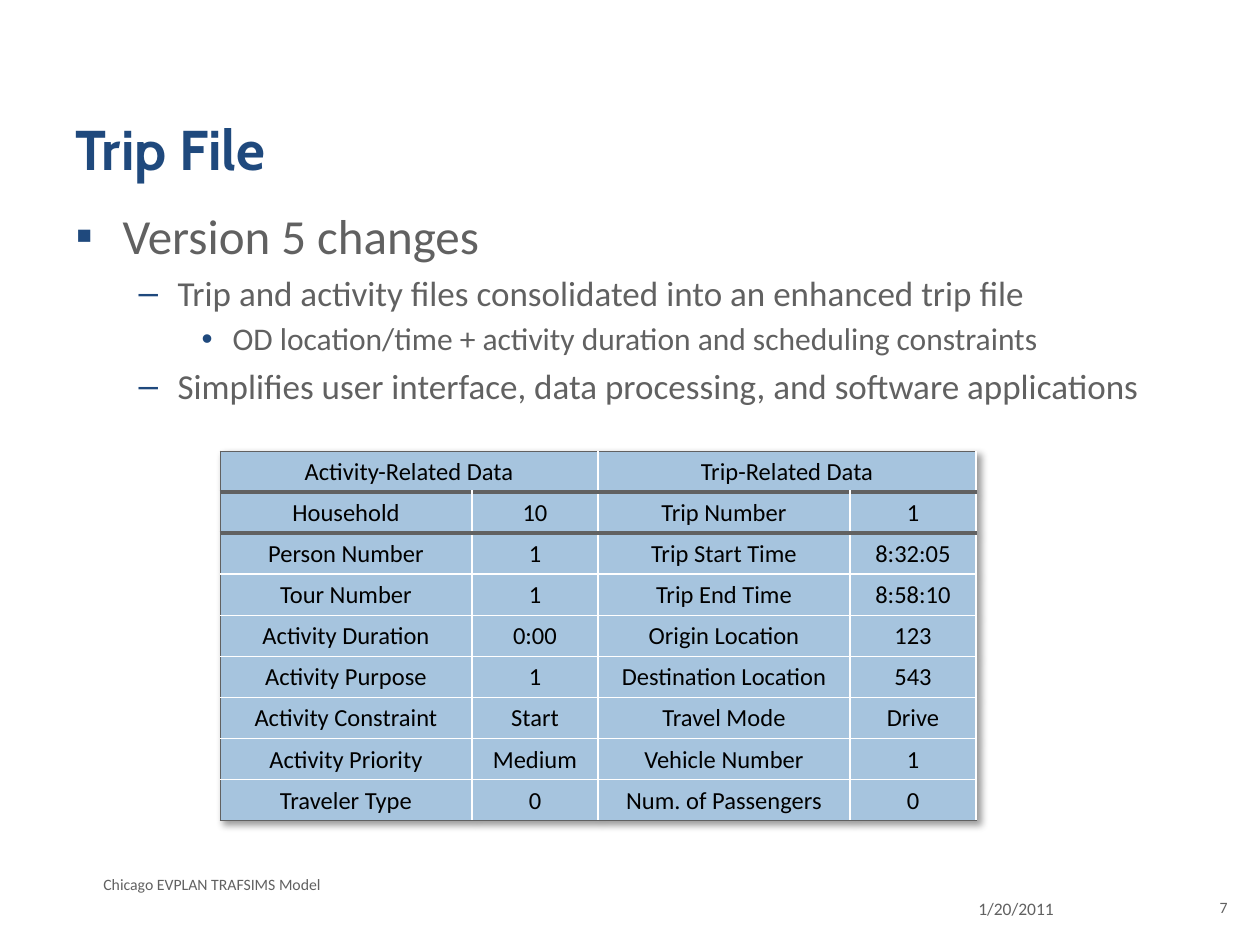
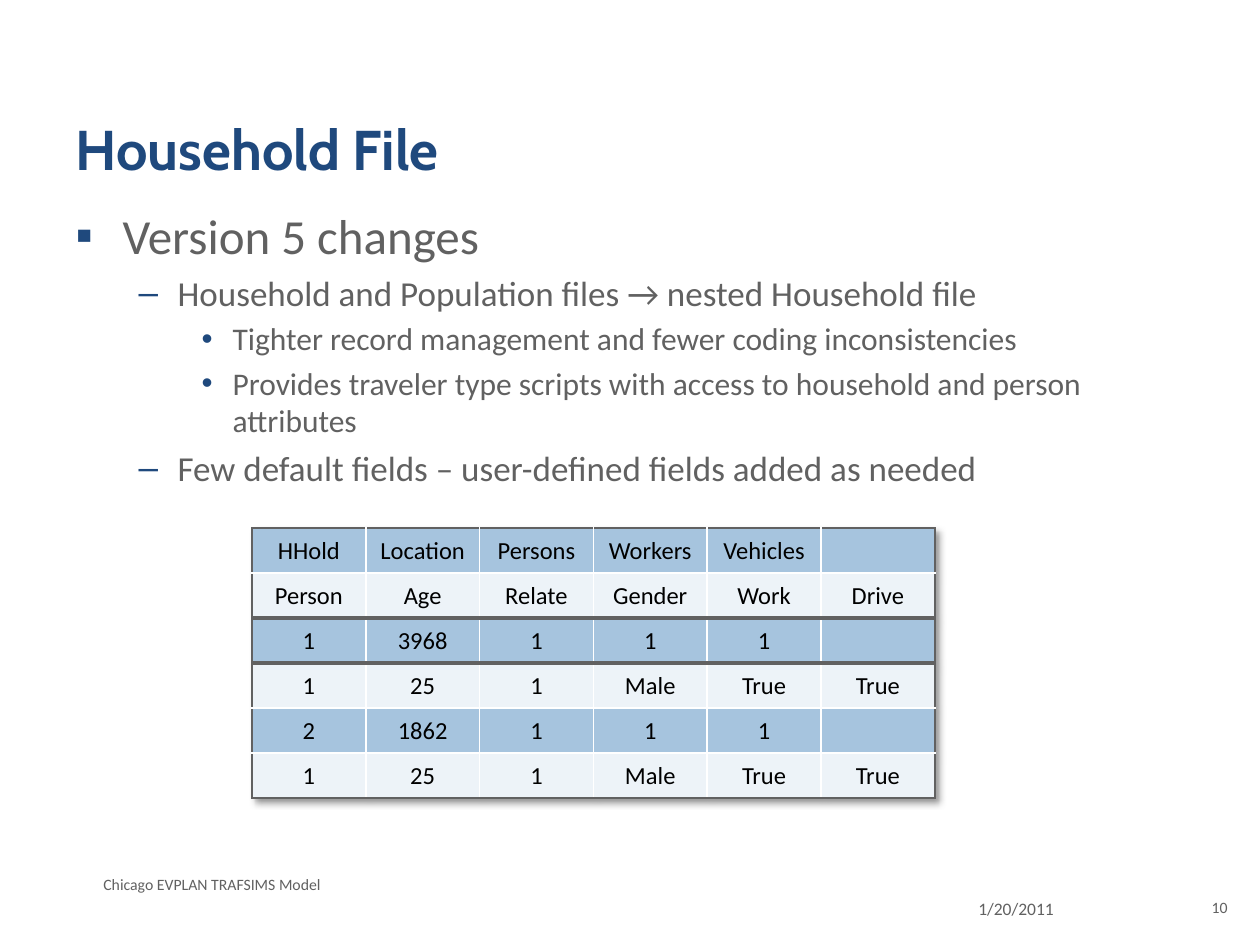
from lxml import etree
from pptx import Presentation, util as u
from pptx.dml.color import RGBColor
from pptx.enum import text
from pptx.oxml import ns

EMU_PER_PIXEL = 914400 / 126
NAVY = RGBColor(0x1F, 0x49, 0x7D)
GREY = RGBColor(0x61, 0x61, 0x61)
BLACK = RGBColor(0, 0, 0)
WHITE = RGBColor(0xFF, 0xFF, 0xFF)
BLUE = RGBColor(0xA6, 0xC4, 0xDE)
PALE = RGBColor(0xED, 0xF3, 0xF8)
HEADING_FONT = "Cabin"
BODY_FONT = "Calibri"
THIN = (WHITE, 1)
HEAVY = (GREY, 2.25)

# Per outline level: text size, bullet, left margin, hanging indent
LEVELS = [(28, "▪", 47, 47), (20, "–", 102, 39), (18, "•", 157, 31)]

TRIP_ROWS = [
    ["Activity-Related Data", "", "Trip-Related Data", ""],
    ["Household", "10", "Trip Number", "1"],
    ["Person Number", "1", "Trip Start Time", "8:32:05"],
    ["Tour Number", "1", "Trip End Time", "8:58:10"],
    ["Activity Duration", "0:00", "Origin Location", "123"],
    ["Activity Purpose", "1", "Destination Location", "543"],
    ["Activity Constraint", "Start", "Travel Mode", "Drive"],
    ["Activity Priority", "Medium", "Vehicle Number", "1"],
    ["Traveler Type", "0", "Num. of Passengers", "0"],
]
HOUSEHOLD_ROWS = [
    ["HHold", "Location", "Persons", "Workers", "Vehicles", ""],
    ["Person", "Age", "Relate", "Gender", "Work", "Drive"],
    ["1", "3968", "1", "1", "1", ""],
    ["1", "25", "1", "Male", "True", "True"],
    ["2", "1862", "1", "1", "1", ""],
    ["1", "25", "1", "Male", "True", "True"],
]


def px(length):
    """Turn picture pixels into EMU."""
    return u.Emu(round(length * EMU_PER_PIXEL))


def place(shape, left, top, width, height):
    """Move and size a shape."""
    shape.left, shape.top = px(left), px(top)
    shape.width, shape.height = px(width), px(height)


def add_span(para, words, size, color, font=BODY_FONT, bold=False):
    """Add one formatted run to a paragraph."""
    span = para.add_run()
    span.text = words
    span.font.size = u.Pt(size)
    span.font.name = font
    span.font.bold = bold
    span.font.color.rgb = color


def child(parent, tag, **attributes):
    """Append a DrawingML element and return it."""
    return etree.SubElement(parent, ns.qn("a:" + tag), attributes)


def set_title(page, words):
    """Fill the title placeholder."""
    title = page.shapes.title
    place(title, 63, 38, 1134, 157)
    frame = title.text_frame
    frame.auto_size = text.MSO_AUTO_SIZE.NONE
    frame.vertical_anchor = text.MSO_ANCHOR.BOTTOM
    frame.margin_bottom = px(13)
    para = frame.paragraphs[0]
    para.alignment = text.PP_ALIGN.LEFT
    add_span(para, words, 32, NAVY, HEADING_FONT, True)


def set_bullets(page, items):
    """Fill the body placeholder with (level, words) items."""
    body = page.placeholders[1]
    place(body, 63, 199, 1134, 645)
    frame = body.text_frame
    frame.auto_size = text.MSO_AUTO_SIZE.NONE
    for number, (level, words) in enumerate(items):
        para = frame.add_paragraph() if number else frame.paragraphs[0]
        size, bullet, margin, hanging = LEVELS[level]
        para.level = level
        para.space_before = u.Pt(size * 0.2)
        props = para._p.get_or_add_pPr()
        props.set("marL", str(px(margin)))
        props.set("indent", str(-px(hanging)))
        child(child(props, "buClr"), "srgbClr", val=str(NAVY))
        child(props, "buFont", typeface="Arial")
        child(props, "buChar", char=bullet)
        add_span(para, words, size, GREY)


def add_note(page, bounds, words, size, align=text.PP_ALIGN.LEFT):
    """Add one small line of footer text."""
    box = page.shapes.add_textbox(0, 0, 0, 0)
    place(box, *bounds)
    box.text_frame.word_wrap = True
    para = box.text_frame.paragraphs[0]
    para.alignment = align
    add_span(para, words, size, GREY)


def add_footer(page, number):
    """Add the date, the model name and the page number."""
    add_note(page, (966, 892, 189, 42), "1/20/2011", 10)
    add_note(page, (91, 869, 819, 32), "Chicago EVPLAN TRAFSIMS Model", 9)
    add_note(page, (1187, 892, 53, 40), str(number), 9, text.PP_ALIGN.RIGHT)


def set_borders(cell, *borders):
    """Draw the left, right, top and bottom border of a cell."""
    props = cell._tc.get_or_add_tcPr()
    for side, (color, width) in zip("LRTB", borders):
        line = child(props, "ln" + side, w=str(u.Pt(width)))
        child(child(line, "solidFill"), "srgbClr", val=str(color))


def add_table_shadow(table):
    """Give the table a soft shadow to the lower right."""
    props = table._tbl.tblPr
    effects = child(props, "effectLst")
    props.insert(0, effects)
    shadow = child(effects, "outerShdw", blurRad="50800", dist="38100",
                   dir="2700000", algn="tl", rotWithShape="0")
    child(child(shadow, "srgbClr", val=str(BLACK)), "alpha", val="40000")


def add_grid(page, bounds, rows, shares, fills, row_lines, column_lines):
    """Add a table; lines are listed by boundary, fills repeat by row."""
    left, top, width, height = bounds
    frame = page.shapes.add_table(len(rows), len(shares), px(left), px(top),
                                  px(width), px(height))
    table = frame.table
    table.first_row = table.horz_banding = False
    add_table_shadow(table)
    for column, share in zip(table.columns, shares):
        column.width = px(width * share / sum(shares))
    for r, values in enumerate(rows):
        table.rows[r].height = px(height / len(rows))
        for c, words in enumerate(values):
            cell = table.cell(r, c)
            set_borders(cell, *column_lines[c:c + 2], *row_lines[r:r + 2])
            cell.fill.solid()
            cell.fill.fore_color.rgb = fills[r % len(fills)]
            cell.vertical_anchor = text.MSO_ANCHOR.MIDDLE
            cell.margin_left = cell.margin_right = cell.margin_top = px(1)
            cell.margin_bottom = 0
            if words:
                para = cell.text_frame.paragraphs[0]
                para.alignment = text.PP_ALIGN.CENTER
                add_span(para, words, 14, BLACK)
    return table


def add_page(deck, title, items, number):
    """Add a page with its title, bullets and footer."""
    page = deck.slides.add_slide(deck.slide_layouts[1])
    set_title(page, title)
    set_bullets(page, items)
    add_footer(page, number)
    return page


def add_trip_page(deck):
    """Build the trip file page."""
    page = add_page(deck, "Trip File", [
        (0, "Version 5 changes"),
        (1, "Trip and activity files consolidated into an enhanced trip file"),
        (2, "OD location/time + activity duration and scheduling constraints"),
        (1, "Simplifies user interface, data processing, and software "
            "applications"),
    ], 7)
    edge = (GREY, 0.5)
    table = add_grid(page, (220, 451, 756, 370), TRIP_ROWS, [2, 1, 2, 1],
                     [BLUE], [edge, HEAVY, HEAVY] + [THIN] * 6 + [edge],
                     [edge] + [THIN] * 4)
    for c in (0, 2):
        table.cell(0, c).merge(table.cell(0, c + 1))


def add_household_page(deck):
    """Build the household file page."""
    page = add_page(deck, "Household File", [
        (0, "Version 5 changes"),
        (1, "Household and Population files → nested Household file"),
        (2, "Tighter record management and fewer coding inconsistencies"),
        (2, "Provides traveler type scripts with access to household and "
            "person attributes"),
        (1, "Few default fields – user-defined fields added as needed"),
    ], 10)
    edge = (GREY, 1)
    add_grid(page, (252, 528, 683, 270), HOUSEHOLD_ROWS, [1] * 6,
             [BLUE, PALE], [edge, THIN, HEAVY, HEAVY, THIN, THIN, edge],
             [edge] + [THIN] * 5 + [edge])


def main():
    """Build and save the deck."""
    deck = Presentation()
    deck.slide_width, deck.slide_height = px(1260), px(945)
    add_trip_page(deck)
    add_household_page(deck)
    deck.save("out.pptx")


main()
